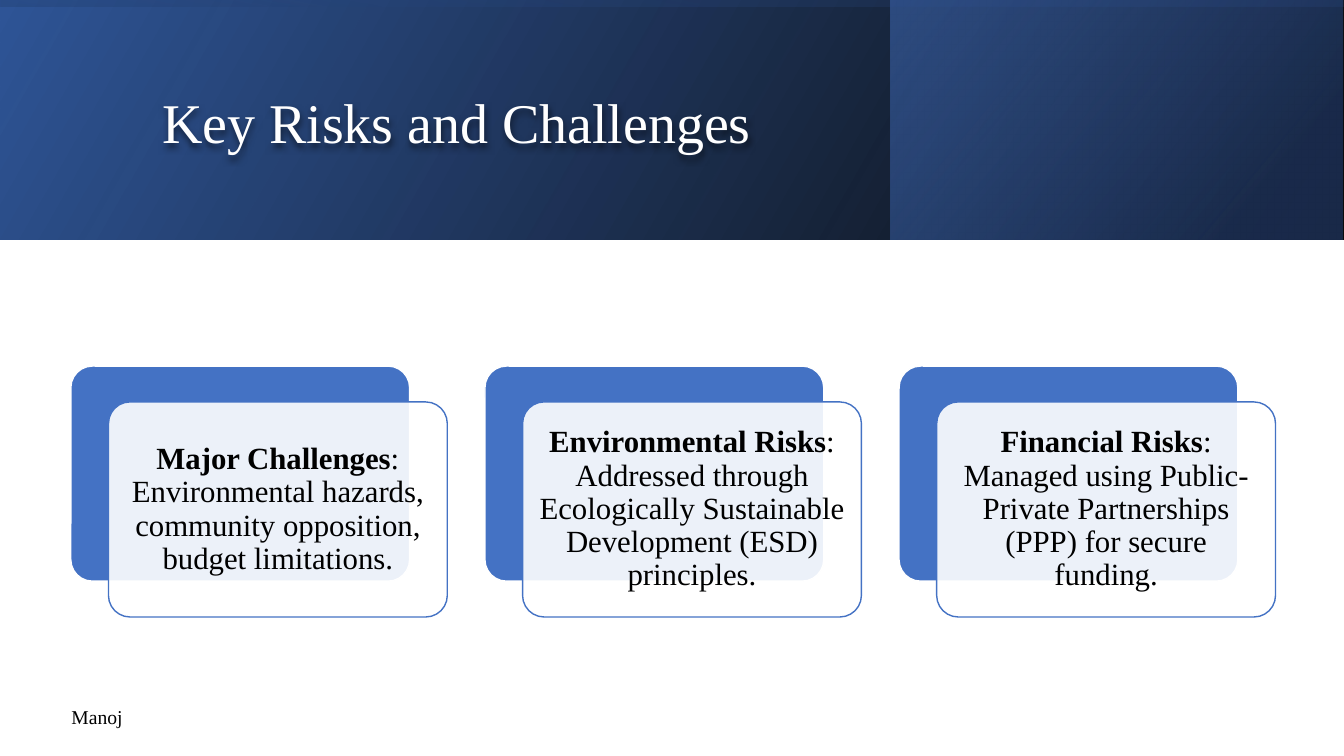
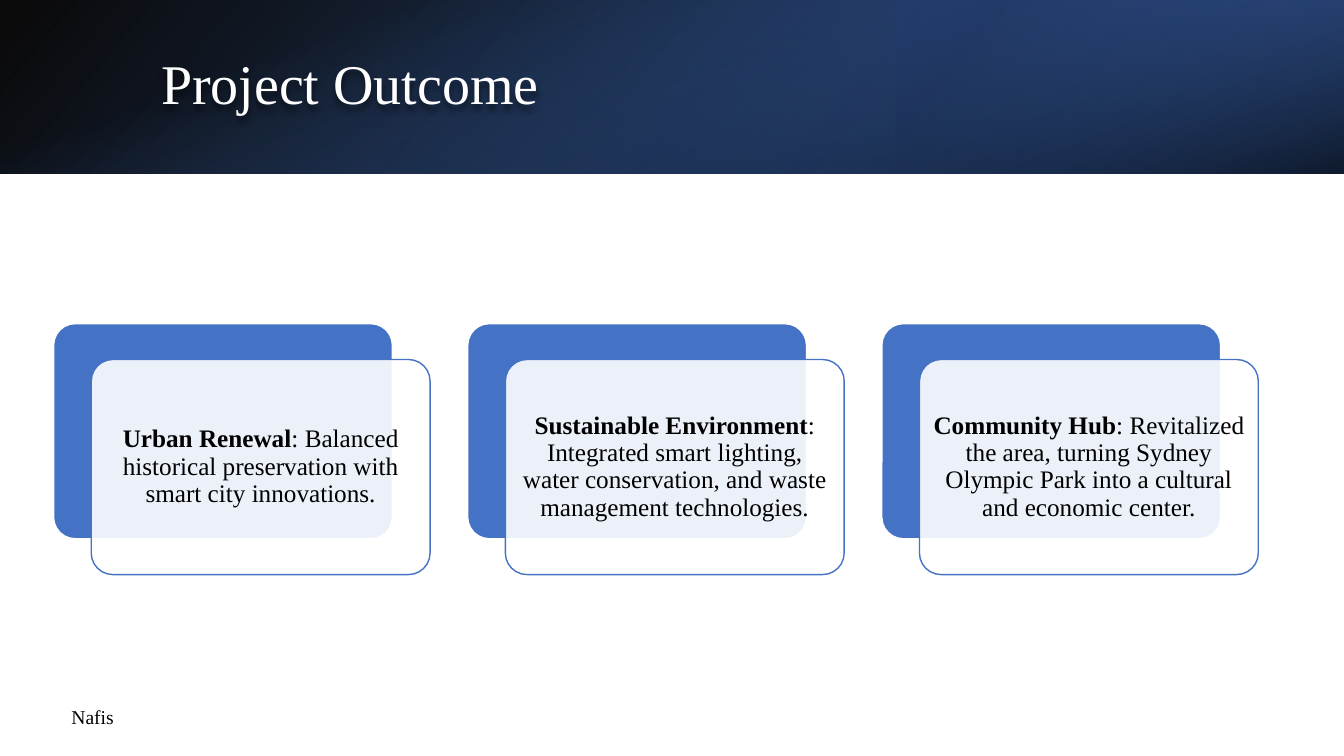
from dataclasses import dataclass

from lxml import etree
from pptx import Presentation
from pptx.dml.color import RGBColor
from pptx.enum import shapes, text
from pptx.oxml.ns import qn
from pptx.util import Pt


@dataclass(frozen=True)
class Theme:
    font: str = "Times New Roman"
    black: str = "000000"
    white: str = "FFFFFF"
    blue: str = "4472C4"
    deep_blue: str = "2F5597"
    navy: str = "203864"
    title_size: int = 40
    footer_size: int = 14


theme = Theme()

SLIDE_WIDTH, SLIDE_HEIGHT = 960, 540
CARD_WIDTH, CARD_HEIGHT, CARD_STEP = 242, 153.6, 295.8
CARD_SHIFT_X, CARD_SHIFT_Y = 26.9, 25.6
BASE_STOPS = [(0, theme.black, 96), (100, theme.deep_blue, 100)]


def full_width_box(height):
    """Upright frame that covers the whole band once turned a quarter."""
    return (SLIDE_WIDTH - height) / 2, (height - SLIDE_WIDTH) / 2, height, SLIDE_WIDTH


# Band: box, rotation, flipped, clockwise gradient angle, stops (position, colour, opacity)
slides = [
    dict(
        title="Key Risks and Challenges",
        title_box=(108.7, 27.4, 765, 123.8),
        bands=[
            ((0, 0, SLIDE_WIDTH, 170.8), 0, True, 330, BASE_STOPS),
            ((636.2, 0, 323, 170.8), 0, True, 320,
             [(19, theme.navy, 68), (100, theme.blue, 48)]),
            (full_width_box(170.8), 270, True, 350,
             [(23, theme.deep_blue, 16), (99, theme.black, 45)]),
        ],
        cards_at=(50.6, 261.5),
        card_size=22,
        cards=[
            ("Major Challenges",
             ": Environmental hazards, community opposition, budget limitations."),
            ("Environmental Risks",
             ": Addressed through Ecologically Sustainable Development (ESD) principles."),
            ("Financial Risks",
             ": Managed using Public-Private Partnerships (PPP) for secure funding."),
        ],
        footer="Manoj",
    ),
    dict(
        title="Project Outcome",
        title_box=(108, 27.4, 790, 69),
        bands=[
            ((0, 0, SLIDE_WIDTH, 124), 0, True, 140, BASE_STOPS),
            ((640, 0, 320, 124), 180, True, 320,
             [(19, theme.navy, 68), (100, theme.blue, 79)]),
            (full_width_box(124), 90, False, 340,
             [(23, theme.blue, 0), (99, theme.black, 74)]),
        ],
        cards_at=(38.3, 231.2),
        card_size=18,
        cards=[
            ("Urban Renewal",
             ": Balanced historical preservation with smart city innovations."),
            ("Sustainable Environment",
             ": Integrated smart lighting, water conservation, and waste management technologies."),
            ("Community Hub",
             ": Revitalized the area, turning Sydney Olympic Park into a cultural and economic center."),
        ],
        footer="Nafis",
    ),
]


def set_opacity(color_element, percent):
    etree.SubElement(color_element, qn("a:alpha")).set("val", str(percent * 1000))


presentation = Presentation()
presentation.slide_width, presentation.slide_height = Pt(SLIDE_WIDTH), Pt(SLIDE_HEIGHT)

for content in slides:
    slide = presentation.slides.add_slide(presentation.slide_layouts[6])

    for box, rotation, flipped, angle, stops in content["bands"]:
        band = slide.shapes.add_shape(shapes.MSO_SHAPE.RECTANGLE, *map(Pt, box))
        band.shadow.inherit = False
        band.line.fill.background()
        band.rotation = rotation
        if flipped:
            band._element.spPr.find(qn("a:xfrm")).set("flipH", "1")
        band.fill.gradient()
        band.fill.gradient_angle = 360 - angle
        for stop, (position, color, opacity) in zip(band.fill.gradient_stops, stops):
            stop.position = position / 100
            stop.color.rgb = RGBColor.from_string(color)
        colors = band._element.spPr.iter(qn("a:srgbClr"))
        for color_element, (_, _, opacity) in zip(list(colors), stops):
            set_opacity(color_element, opacity)

    labels = [
        (content["title"], content["title_box"], theme.title_size, theme.white,
         text.MSO_ANCHOR.MIDDLE),
        (content["footer"], (43.9, 499.7, 96.5, 24.5), theme.footer_size, theme.black,
         text.MSO_ANCHOR.TOP),
    ]
    for wording, box, size, color, anchor in labels:
        label = slide.shapes.add_textbox(*map(Pt, box))
        frame = label.text_frame
        frame.word_wrap = True
        frame.vertical_anchor = anchor
        paragraph = frame.paragraphs[0]
        paragraph.text = wording
        paragraph.font.name = theme.font
        paragraph.font.size = Pt(size)
        paragraph.font.color.rgb = RGBColor.from_string(color)
        if size == theme.title_size:
            paragraph.line_spacing = 0.9
            effects = etree.SubElement(label._element.spPr, qn("a:effectLst"))
            shadow = etree.SubElement(effects, qn("a:outerShdw"), blurRad=str(Pt(4)),
                                      dist=str(Pt(3)), dir="5400000")
            shadow_color = etree.SubElement(shadow, qn("a:srgbClr"), val=theme.black)
            set_opacity(shadow_color, 50)

    left, top = content["cards_at"]
    for index, (heading, detail) in enumerate(content["cards"]):
        card_left = left + index * CARD_STEP
        layers = [
            (card_left, top, theme.blue, theme.white),
            (card_left + CARD_SHIFT_X, top + CARD_SHIFT_Y, theme.white, theme.blue),
        ]
        for layer_left, layer_top, fill_color, line_color in layers:
            card = slide.shapes.add_shape(
                shapes.MSO_SHAPE.ROUNDED_RECTANGLE, Pt(layer_left), Pt(layer_top),
                Pt(CARD_WIDTH), Pt(CARD_HEIGHT))
            card.shadow.inherit = False
            card.adjustments[0] = 0.1
            card.fill.solid()
            card.fill.fore_color.rgb = RGBColor.from_string(fill_color)
            card.line.color.rgb = RGBColor.from_string(line_color)
            card.line.width = Pt(1)

        # The front layer carries the text and lets the back layer show through
        set_opacity(card._element.spPr.find(qn("a:solidFill"))[0], 90)
        frame = card.text_frame
        frame.word_wrap = True
        frame.vertical_anchor = text.MSO_ANCHOR.MIDDLE
        inset = Pt(0.3 * content["card_size"])
        frame.margin_left = frame.margin_right = inset
        frame.margin_top = frame.margin_bottom = inset
        paragraph = frame.paragraphs[0]
        paragraph.alignment = text.PP_ALIGN.CENTER
        paragraph.line_spacing = 0.9
        paragraph.font.name = theme.font
        paragraph.font.size = Pt(content["card_size"])
        paragraph.font.color.rgb = RGBColor.from_string(theme.black)
        for wording, bold in ((heading, True), (detail, False)):
            run = paragraph.add_run()
            run.text = wording
            run.font.bold = bold

presentation.save("out.pptx")
